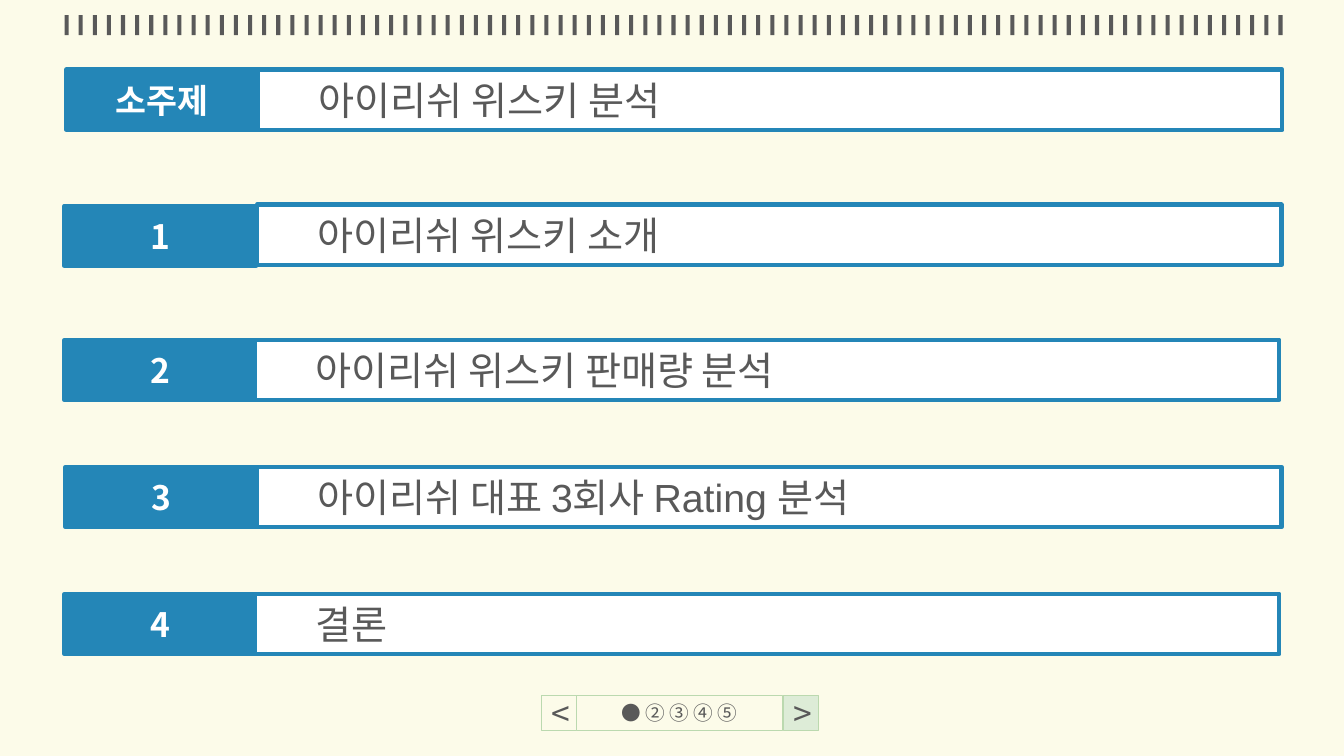
"""Build the agenda slide for the Irish whiskey analysis."""
from lxml.etree import SubElement
from pptx import Presentation
from pptx.dml.color import RGBColor
from pptx.enum.shapes import MSO_SHAPE
from pptx.enum.text import MSO_ANCHOR as Anchor, PP_ALIGN as Align
from pptx.oxml.ns import qn
from pptx.util import Inches, Pt

COLORS = {"cream": "FCFBE9", "blue": "2486B7", "white": "FFFFFF",
          "gray": "595959", "mint": "DDECD7", "green": "BBD9AF"}
KOREAN = "Noto Sans CJK KR"

deck = Presentation()
deck.slide_width, deck.slide_height = Inches(13.33), Inches(7.5)
COLUMN, ROW = deck.slide_width / 1333, deck.slide_height / 750
page = deck.slides.add_slide(deck.slide_layouts[6])


def color(name):
    return RGBColor.from_string(COLORS[name])


def add_box(left, top, width, height, text, size, fill, line, weight,
            ink="gray", font=KOREAN, bold=False, indent=0):
    box = page.shapes.add_shape(
        MSO_SHAPE.RECTANGLE, round(left * COLUMN), round(top * ROW),
        round(width * COLUMN), round(height * ROW))
    box.shadow.inherit = False
    box.fill.solid()
    box.fill.fore_color.rgb = color(fill)
    box.line.color.rgb = color(line)
    box.line.width = Pt(weight)
    box.text_frame.vertical_anchor = Anchor.MIDDLE
    para = box.text_frame.paragraphs[0]
    para.alignment = Align.LEFT if indent else Align.CENTER
    if indent:
        para.level = 1
        properties = para._p.get_or_add_pPr()
        properties.set("marL", str(round(indent * COLUMN)))
        properties.set("indent", "0")
    span = para.add_run()
    span.text = text
    span.font.size, span.font.bold = Pt(size), bold
    span.font.color.rgb = color(ink)
    span.font.name = font
    SubElement(span._r.get_or_add_rPr(), qn("a:ea"), typeface=KOREAN)


page.background.fill.solid()
page.background.fill.fore_color.rgb = color("cream")

TICKS, TICK_STEP, TICK_WIDTH = 87, 14, 4
TICK_LEFT, TICK_TOP, TICK_BOTTOM = 64, 15, 35
builder = page.shapes.build_freeform(TICK_LEFT, TICK_TOP, scale=(COLUMN, ROW))
for tick in range(TICKS):
    left = TICK_LEFT + tick * TICK_STEP
    right = left + TICK_WIDTH
    if tick:
        builder.move_to(left, TICK_TOP)
    builder.add_line_segments(
        [(right, TICK_TOP), (right, TICK_BOTTOM), (left, TICK_BOTTOM)], close=True)
ruler = builder.convert_to_shape()
ruler.shadow.inherit = False
ruler.fill.solid()
ruler.fill.fore_color.rgb = color("gray")
ruler.line.fill.background()

AGENDA = [
    ("소주제", 66, 69, "아이리쉬 위스키 분석", 256, 69),
    ("1", 64, 204, "아이리쉬 위스키 소개", 255, 203),
    ("2", 64, 337, "아이리쉬 위스키 판매량 분석", 253, 337),
    ("3", 65, 463, "아이리쉬 대표 3회사 Rating 분석", 255, 463),
    ("4", 64, 589, "결론", 253, 589),
]
for label, label_left, label_top, title, title_left, title_top in AGENDA:
    add_box(label_left, label_top, 190, 60, label, 24, "blue", "blue", 3,
            ink="white", bold=True)
    add_box(title_left, title_top, 1016, 60, title, 28, "white", "blue", 3,
            font="Arial", indent=50)

PAGER = [
    (">", 777, 35, 24, "mint"),
    ("● ② ③ ④ ⑤", 572, 204, 14, "cream"),
    ("<", 537, 35, 24, "cream"),
]
for text, left, width, size, fill in PAGER:
    add_box(left, 690, width, 35, text, size, fill, "green", 0.75)

deck.save("out.pptx")
